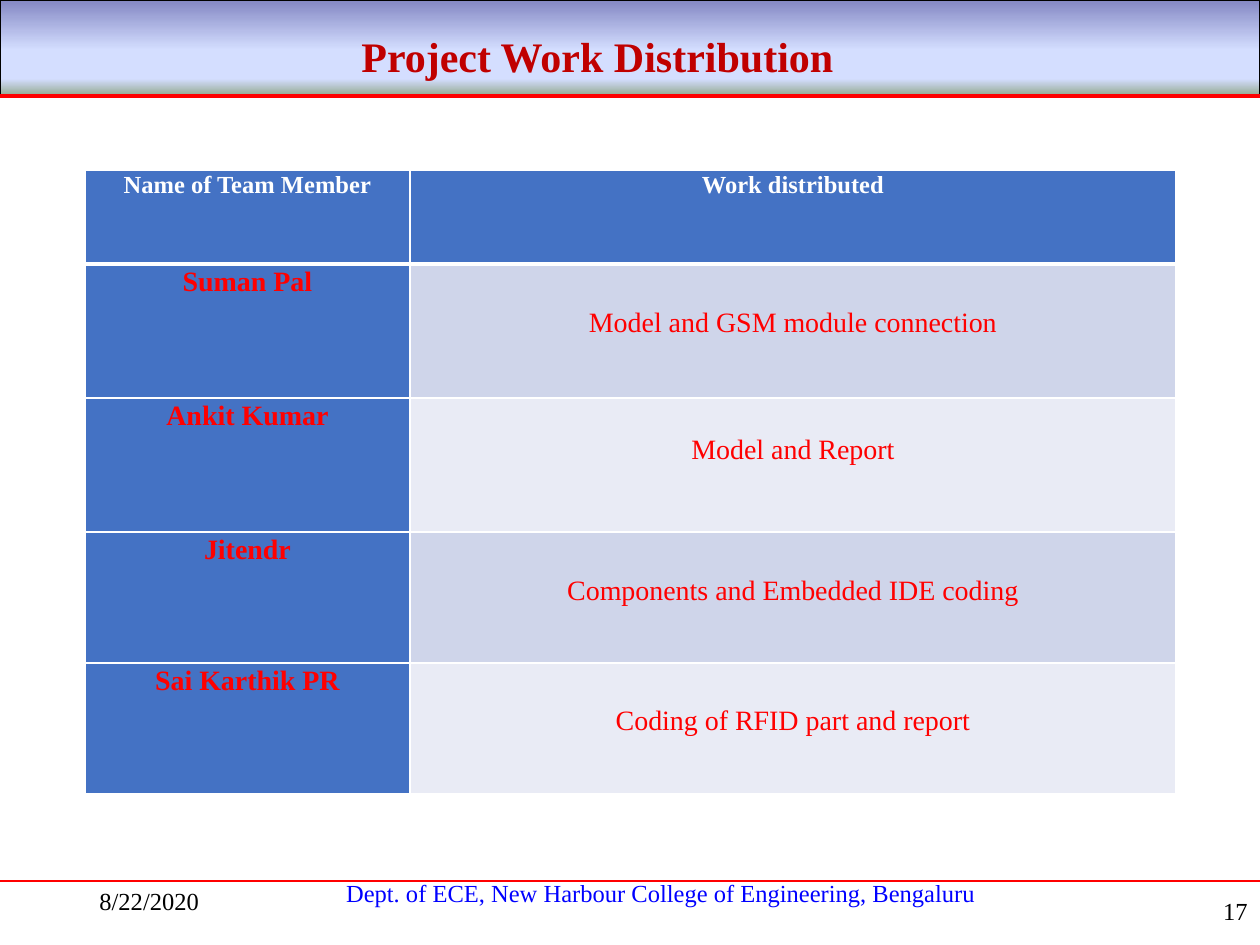
import lxml.etree
import pptx
import pptx.dml.color
import pptx.enum.shapes
import pptx.enum.text
import pptx.oxml
import pptx.oxml.ns
import pptx.util

PX = 914400 / 126
ALIGN = pptx.enum.text.PP_ALIGN
ANCHOR = pptx.enum.text.MSO_ANCHOR
THEME = {
    "font": "Times New Roman",
    "title": "C00000", "rule": "FF0000", "member": "FF0000", "footer": "0000FF",
    "ink": "000000", "paper": "FFFFFF", "head": "4472C4",
    "bands": ["CFD5EA", "E9EBF5"],
    "banner": [(0, "8488C4"), (53, "D4DEFF"), (83, "D4DEFF"), (100, "96AB94")],
    "title_size": 24, "small_size": 14, "body_size": 16,
}


def px(*lengths):
    return [pptx.util.Emu(round(length * PX)) for length in lengths]


def write(frame, text, size, color, bold=False, align=ALIGN.LEFT, anchor=ANCHOR.TOP,
          line_spacing=None, before=0, after=0):
    frame.word_wrap = True
    frame.vertical_anchor = anchor
    paragraph = frame.paragraphs[0]
    paragraph.alignment = align
    paragraph.line_spacing = line_spacing
    paragraph.space_before = pptx.util.Pt(before)
    paragraph.space_after = pptx.util.Pt(after)
    run = paragraph.add_run()
    run.text = text
    run.font.name = THEME["font"]
    run.font.size = pptx.util.Pt(size)
    run.font.bold = bold
    run.font.color.rgb = pptx.dml.color.RGBColor.from_string(color)


deck = pptx.Presentation()
deck.slide_width, deck.slide_height = px(1260, 945)
slide = deck.slides.add_slide(deck.slide_layouts[6])
shapes = slide.shapes

banner = shapes.add_shape(pptx.enum.shapes.MSO_SHAPE.RECTANGLE, *px(0, 0, 1260, 95))
banner.shadow.inherit = False
banner.line.color.rgb = pptx.dml.color.RGBColor.from_string(THEME["ink"])
banner.line.width = pptx.util.Pt(0.75)
banner.fill.gradient()
banner.fill.gradient_angle = 270
stops = banner.fill.gradient_stops
stop_list = banner.element.spPr.find(".//" + pptx.oxml.ns.qn("a:gsLst"))
for stop in list(stop_list):
    stop_list.remove(stop)
for position, color in THEME["banner"]:
    stop = lxml.etree.SubElement(stop_list, pptx.oxml.ns.qn("a:gs"), pos=str(position * 1000))
    lxml.etree.SubElement(stop, pptx.oxml.ns.qn("a:srgbClr"), val=color)

for y, width in [(96, 2.25), (881, 1.5)]:
    rule = shapes.add_connector(pptx.enum.shapes.MSO_CONNECTOR.STRAIGHT, *px(0, y, 1260, y))
    rule.line.color.rgb = pptx.dml.color.RGBColor.from_string(THEME["rule"])
    rule.line.width = pptx.util.Pt(width)
    lxml.etree.SubElement(rule.element.spPr, pptx.oxml.ns.qn("a:effectLst"))

small = THEME["small_size"]
labels = [
    ((215, 872, 892, 42), "Dept. of ECE, New Harbour College of Engineering, Bengaluru",
     dict(size=small, color=THEME["footer"], align=ALIGN.CENTER)),
    ((87, 876, 284, 50), "8/22/2020",
     dict(size=small, color=THEME["ink"], anchor=ANCHOR.MIDDLE)),
    ((1150, 876, 110, 69), "17",
     dict(size=small, color=THEME["ink"], align=ALIGN.RIGHT, anchor=ANCHOR.MIDDLE)),
    ((349, 21, 513, 64), "Project Work Distribution",
     dict(size=THEME["title_size"], color=THEME["title"], bold=True,
          align=ALIGN.JUSTIFY, line_spacing=1.07, after=6)),
]
for box, text, style in labels:
    write(shapes.add_textbox(*px(*box)).text_frame, text, **style)

work = [
    ("Name of Team Member", "Work distributed", 94, 0),
    ("Suman Pal", "Model and GSM module connection", 134, 41),
    ("Ankit Kumar", "Model and Report", 134, 34),
    ("Jitendr", "Components and Embedded IDE coding", 131, 41),
    ("Sai Karthik PR", "Coding of RFID part and report", 131, 41),
]
widths = [325, 766]
height = sum(row[2] for row in work)
table = shapes.add_table(len(work), 2, *px(85, 170, sum(widths), height)).table
for column, width in zip(table.columns, px(*widths)):
    column.width = width

for r, (member, task, row_height, task_drop) in enumerate(work):
    table.rows[r].height = px(row_height)[0]
    for c, text in enumerate([member, task]):
        cell = table.cell(r, c)
        heading = r == 0 or c == 0
        cell.margin_left, cell.margin_right, cell.margin_top, cell.margin_bottom = px(
            8, 8, task_drop * c, 0)
        cell.fill.solid()
        cell.fill.fore_color.rgb = pptx.dml.color.RGBColor.from_string(
            THEME["head"] if heading else THEME["bands"][(r - 1) % 2])
        write(cell.text_frame, text,
              size=small if r == 0 else THEME["body_size"],
              color=THEME["paper"] if r == 0 else THEME["member"],
              bold=heading, align=ALIGN.CENTER, line_spacing=1.07, before=3, after=3)
        borders = {"lnL": 1, "lnR": 1, "lnT": 3 if r == 1 else 1, "lnB": 3 if r == 0 else 1}
        for i, (side, points) in enumerate(borders.items()):
            border = pptx.oxml.parse_xml(
                f'<a:{side} {pptx.oxml.ns.nsdecls("a")} w="{pptx.util.Pt(points)}"><a:solidFill>'
                f'<a:srgbClr val="{THEME["paper"]}"/></a:solidFill></a:{side}>')
            cell._tc.get_or_add_tcPr().insert(i, border)

deck.save("out.pptx")
